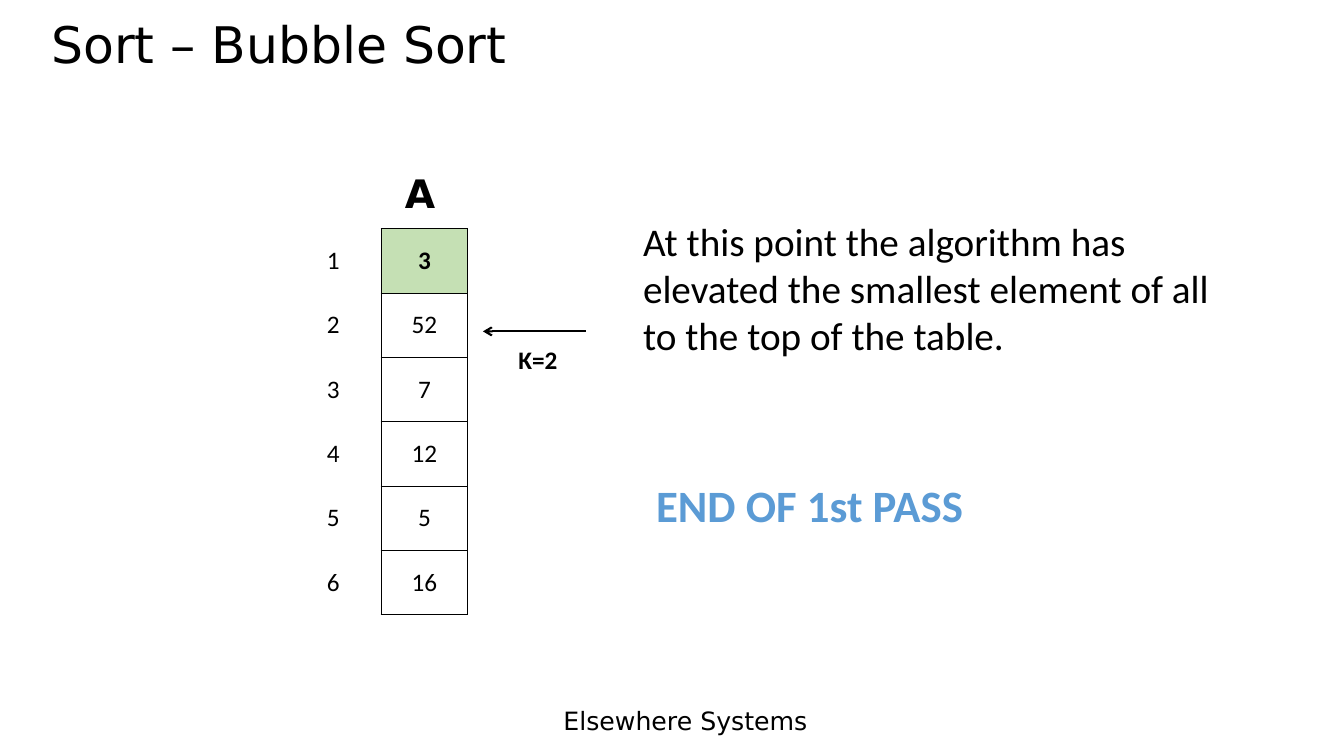
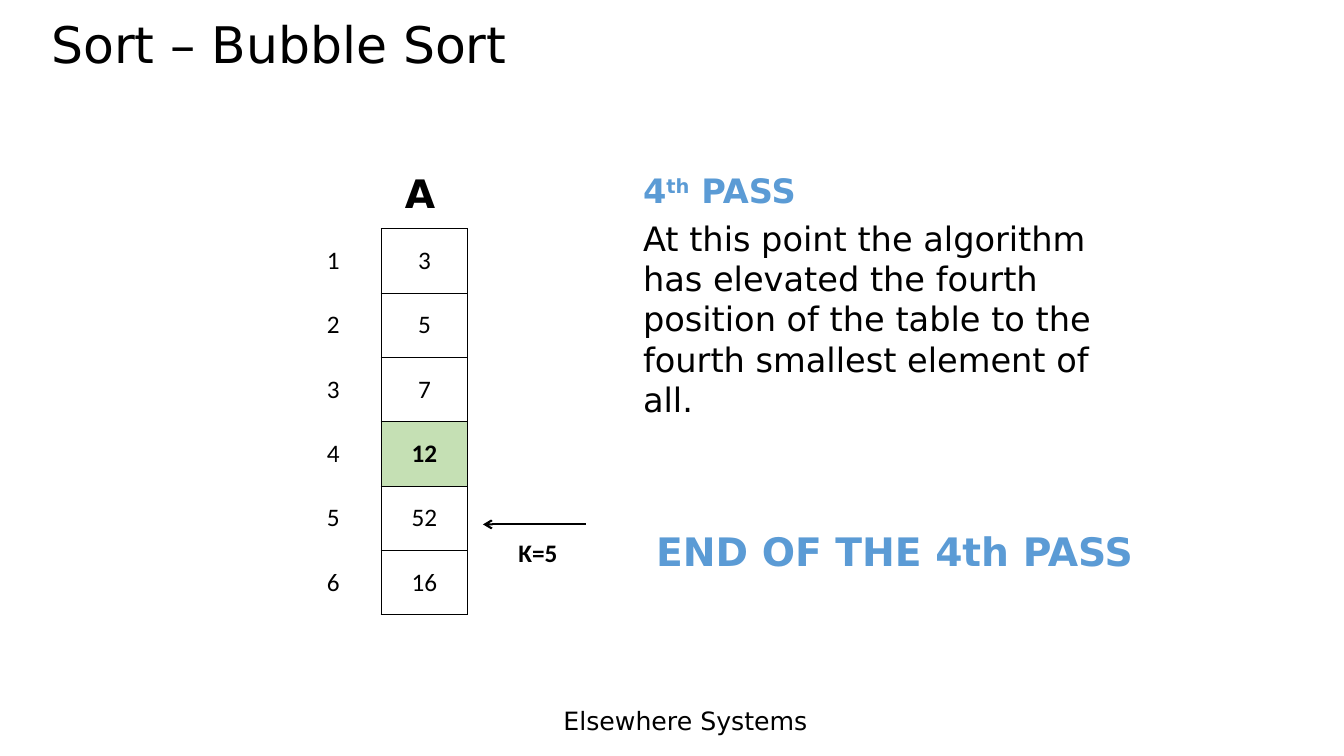
from dataclasses import dataclass

from lxml.etree import SubElement
from pptx import Presentation
from pptx.dml.color import RGBColor as Color
from pptx.enum.shapes import MSO_CONNECTOR as Connector
from pptx.enum.text import MSO_ANCHOR as Anchor, MSO_AUTO_SIZE as AutoSize, PP_ALIGN as Align
from pptx.oxml import parse_xml
from pptx.oxml.ns import nsdecls, qn
from pptx.util import Inches, Pt


@dataclass(frozen=True)
class Theme:
    ink: str = "000000"
    accent: str = "5B9BD5"
    settled: str = "C5E0B4"
    heading_face: str = "DejaVu Sans"
    body_face: str = "Calibri"
    title_size: int = 36
    banner_size: int = 32
    large_size: int = 28
    medium_size: int = 24
    small_size: int = 18


@dataclass(frozen=True)
class Grid:
    """Slide measures in inches; array cells are rows counted from top."""
    width: float = 13.33
    height: float = 7.5
    title_left: float = 0.41
    index_left: float = 3.07
    array_left: float = 3.78
    pointer_left: float = 4.79
    text_left: float = 6.28
    banner_left: float = 6.41
    top: float = 2.27
    row: float = 3.83 / 6

    def middle(self, number):
        """Vertical centre of the array cell with this 1-based number."""
        return self.top + (number - 0.5) * self.row


@dataclass(frozen=True)
class TextStyle:
    size: int
    face: str
    color: str = "000000"
    bold: bool = False
    align: Align = Align.LEFT

    def apply(self, para):
        para.alignment = self.align
        para.font.size = Pt(self.size)
        para.font.name = self.face
        para.font.bold = self.bold
        para.font.color.rgb = Color.from_string(self.color)


THEME = Theme()
GRID = Grid()
FOOTER = "Elsewhere Systems"
TITLE = "Sort – Bubble Sort"
TITLE_STYLE = TextStyle(THEME.title_size, THEME.heading_face, THEME.ink)
FOOTER_STYLE = TextStyle(THEME.small_size, THEME.heading_face, THEME.ink)
ARRAY_NAME_STYLE = TextStyle(THEME.large_size, THEME.heading_face, THEME.ink, True, Align.CENTER)
CELL_STYLE = TextStyle(THEME.small_size, THEME.body_face, THEME.ink, False, Align.CENTER)
BOLD_CELL_STYLE = TextStyle(THEME.small_size, THEME.body_face, THEME.ink, True, Align.CENTER)


def add_text(page, place, text, style):
    """Add a wrapped text box and return its paragraph."""
    box = page.shapes.add_textbox(*map(Inches, place))
    box.text_frame.word_wrap = True
    para = box.text_frame.paragraphs[0]
    para.text = text
    style.apply(para)
    return para


def add_page(deck):
    """Add a slide with the shared title and footer."""
    page = deck.slides.add_slide(deck.slide_layouts[5])
    title = page.shapes.title
    title.left, title.top, title.width, title.height = map(
        Inches, (GRID.title_left, 0.15, 12.01, 0.95))
    frame = title.text_frame
    frame.text = TITLE
    frame.auto_size = AutoSize.NONE
    frame.vertical_anchor = Anchor.TOP
    frame.paragraphs[0].line_spacing = 0.9
    TITLE_STYLE.apply(frame.paragraphs[0])
    add_text(page, (5.49, 6.95, 2.9, 0.4), FOOTER, FOOTER_STYLE)
    return page


def add_borders(cell):
    properties = cell._tc.get_or_add_tcPr()
    for position, side in enumerate("LRTB"):
        properties.insert(position, parse_xml(
            f'<a:ln{side} {nsdecls("a")} w="12700"><a:solidFill>'
            f'<a:srgbClr val="{THEME.ink}"/></a:solidFill></a:ln{side}>'))


def add_column(page, left, width, values, bordered=False, settled=None):
    """Add a one-column table; the cell numbered settled is highlighted."""
    table = page.shapes.add_table(
        len(values), 1, Inches(left), Inches(GRID.top),
        Inches(width), Inches(GRID.row * len(values))).table
    table.first_row = table.horz_banding = False
    for number, value in enumerate(values, start=1):
        cell = table.cell(number - 1, 0)
        cell.text = str(value)
        cell.vertical_anchor = Anchor.MIDDLE
        if number == settled:
            cell.fill.solid()
            cell.fill.fore_color.rgb = Color.from_string(THEME.settled)
        else:
            cell.fill.background()
        style = BOLD_CELL_STYLE if number == settled else CELL_STYLE
        style.apply(cell.text_frame.paragraphs[0])
        if bordered:
            add_borders(cell)


def add_pointer(page, number):
    """Point an arrow at a cell and label it with the value of K."""
    level = GRID.middle(number) + 0.06
    arrow = page.shapes.add_connector(
        Connector.STRAIGHT, Inches(GRID.pointer_left + 1.02), Inches(level),
        Inches(GRID.pointer_left), Inches(level))
    arrow.line.color.rgb = Color.from_string(THEME.ink)
    arrow.line.width = Pt(1.5)
    SubElement(arrow.line._get_or_add_ln(), qn("a:tailEnd"), type="arrow")
    SubElement(arrow._element.spPr, qn("a:effectLst"))
    add_text(page, (GRID.pointer_left, level + 0.08, 1.09, 0.4), f"Κ={number}", BOLD_CELL_STYLE)


def add_array(page, values, settled):
    """Show the numbered array with its settled cell and the pointer below it."""
    add_text(page, (3.54, 1.63, 1.25, 0.57), "A", ARRAY_NAME_STYLE)
    add_column(page, GRID.array_left, 0.86, values, bordered=True, settled=settled)
    add_column(page, GRID.index_left, 0.47, range(1, len(values) + 1))
    add_pointer(page, settled + 1)


def add_first_pass(deck):
    page = add_page(deck)
    add_array(page, (3, 52, 7, 12, 5, 16), settled=1)
    add_text(page, (GRID.text_left, 2.11, 6.14, 1.99),
             "At this point the algorithm has elevated the smallest element of all "
             "to the top of the table.",
             TextStyle(THEME.large_size, THEME.body_face, THEME.ink))
    add_text(page, (GRID.banner_left, 4.69, 5.16, 1.18), "END OF 1st PASS",
             TextStyle(THEME.banner_size, THEME.body_face, THEME.accent, True))


def add_fourth_pass(deck):
    page = add_page(deck)
    add_array(page, (3, 5, 7, 12, 52, 16), settled=4)
    heading = add_text(page, (GRID.text_left, 1.64, 5.16, 0.5), "4",
                       TextStyle(THEME.medium_size, THEME.heading_face, THEME.accent, True))
    ordinal = heading.add_run()
    ordinal.text = "th"
    ordinal._r.get_or_add_rPr().set("baseline", "30000")
    heading.add_run().text = " PASS"
    add_text(page, (GRID.text_left, 2.11, 5.16, 2.52),
             "At this point the algorithm has elevated the fourth position of the table "
             "to the fourth smallest element of all.",
             TextStyle(THEME.medium_size, THEME.heading_face, THEME.ink))
    add_text(page, (GRID.banner_left, 5.18, 5.79, 1.04), "END OF THE 4th PASS",
             TextStyle(THEME.large_size, THEME.heading_face, THEME.accent, True))


def main():
    deck = Presentation()
    deck.slide_width = Inches(GRID.width)
    deck.slide_height = Inches(GRID.height)
    add_first_pass(deck)
    add_fourth_pass(deck)
    deck.save("out.pptx")


if __name__ == "__main__":
    main()
